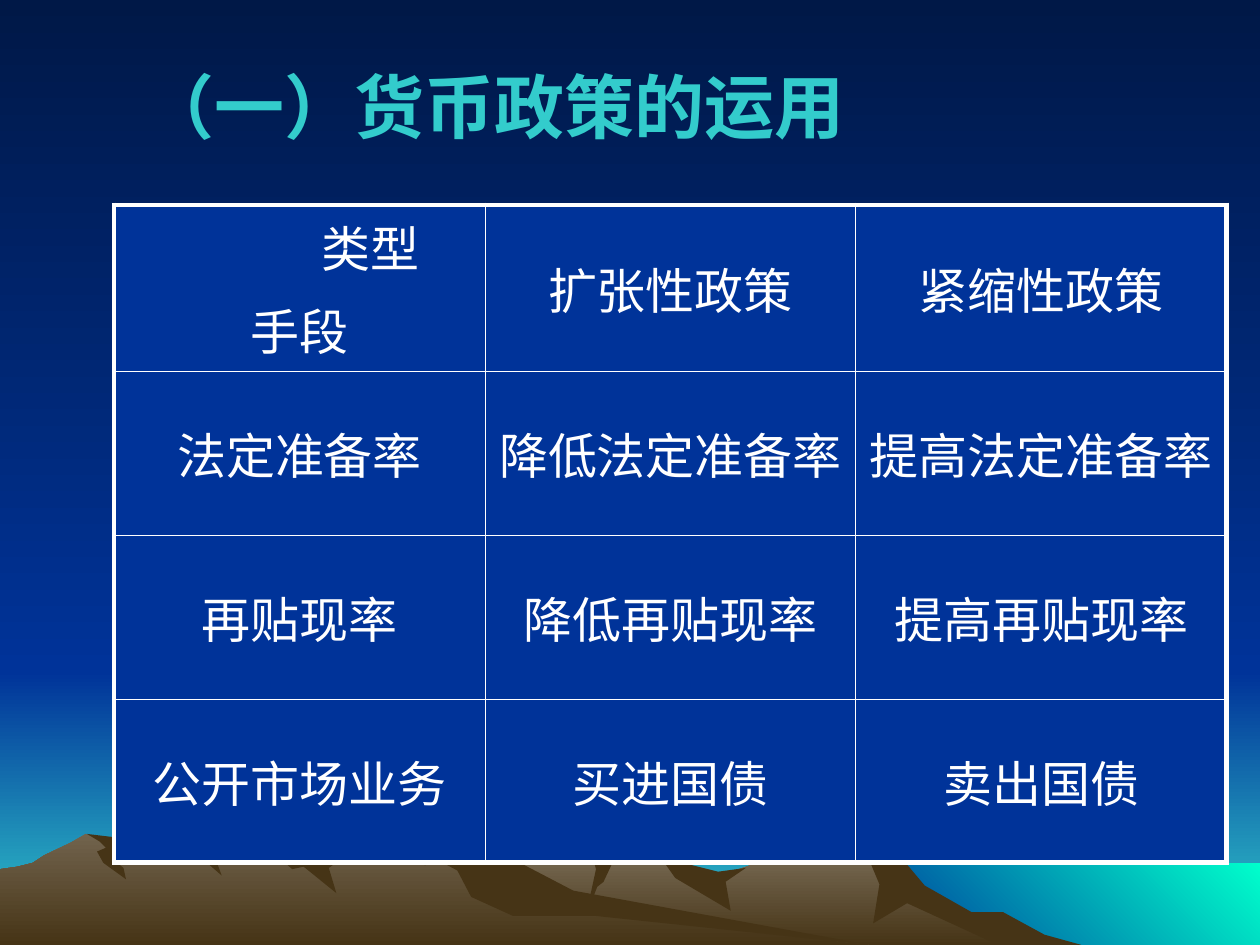
from typing import NamedTuple

from lxml import etree
from pptx import Presentation
from pptx import util as u
from pptx.dml import color
from pptx.enum import shapes, text
from pptx.oxml import ns

WHITE, NAVY, BLUE, TEAL, MINT = "FFFFFF", "001847", "003399", "33CCCC", "00FFCC"
EARTH = "463416"
LATIN_FONT, CJK_FONT = "Arial", "Noto Sans CJK SC"
DOWN, UP_RIGHT = 270, 45
THICK, THIN = u.Pt(3), u.Pt(0.45)
OUTLINE_UNIT = u.Cm(2.54) / 100


class Mountain(NamedTuple):
    """A crest from left to right and its named shadows, in outline units."""

    light: str
    crest: list
    shadows: dict


RIGHT_MOUNTAIN = Mountain(
    light="847864",
    crest=[(258, 92), (277, 81), (327, 51), (355, 40), (394, 27), (424, 14), (444, 10),
           (465, 0), (471, 0), (486, 15), (509, 11), (526, 15), (536, 32), (566, 39),
           (613, 23), (629, 13), (656, 13), (676, 9), (685, 2), (702, 13), (723, 40),
           (764, 65), (778, 69), (802, 82), (821, 92)],
    shadows={
        "east slope": [(685, 2), (707, 13), (734, 45), (771, 66), (796, 66), (829, 84),
                       (858, 92), (792, 92), (720, 59), (693, 75), (698, 44), (685, 13)],
        "peak gully": [(471, 0), (497, 13), (487, 25), (479, 42), (474, 46), (465, 69),
                       (473, 32), (468, 13)],
        "middle spur": [(529, 18), (542, 27), (570, 34), (592, 31), (576, 42), (580, 65),
                        (536, 39), (526, 25)],
        "saddle": [(630, 13), (656, 13), (657, 26), (647, 21), (643, 25), (630, 18)],
        "west notch": [(432, 13), (439, 12), (439, 21), (434, 26)],
    },
)

LEFT_MOUNTAIN = Mountain(
    light="73654F",
    crest=[(0, 32), (14, 30), (26, 27), (35, 21), (56, 11), (68, 4), (94, 13), (128, 13),
           (148, 9), (160, 13), (196, 0), (212, 0), (223, 5), (236, 23), (260, 18),
           (279, 23), (296, 18), (318, 6), (331, 5), (354, 7), (432, 54), (667, 90),
           (690, 92)],
    shadows={
        "peak gully": [(213, 1), (238, 7), (271, 24), (261, 31), (267, 51), (241, 30),
                       (232, 32), (208, 11)],
        "long slope": [(344, 7), (361, 8), (411, 26), (455, 49), (690, 92), (472, 69),
                       (407, 69), (374, 54), (363, 33), (348, 25), (337, 29), (339, 11)],
        "east notch": [(318, 6), (327, 9), (330, 16), (322, 11), (319, 14)],
        "middle gully": [(148, 9), (168, 11), (165, 20), (173, 29), (176, 37), (154, 18)],
        "small notch": [(123, 11), (133, 12), (130, 17), (132, 22), (126, 16)],
        "west gully": [(69, 4), (94, 7), (111, 11), (93, 27), (98, 31), (100, 40),
                       (82, 27), (77, 18), (84, 15), (79, 10)],
    },
)

POLICIES = [
    ["类型\n手段", "扩张性政策", "紧缩性政策"],
    ["法定准备率", "降低法定准备率", "提高法定准备率"],
    ["再贴现率", "降低再贴现率", "提高再贴现率"],
    ["公开市场业务", "买进国债", "卖出国债"],
]


def rgb(value):
    """Return the colour for a hex string."""
    return color.RGBColor.from_string(value)


def paint_gradient(fill, colors, angle=DOWN):
    """Fill with a two-colour gradient."""
    fill.gradient()
    fill.gradient_angle = angle
    for stop, value in zip(fill.gradient_stops, colors):
        stop.color.rgb = rgb(value)


def paint_solid(fill, value):
    """Fill with one colour."""
    fill.solid()
    fill.fore_color.rgb = rgb(value)


def make_plain(shape):
    """Remove the line and the shadow of a shape."""
    shape.line.fill.background()
    shape.shadow.inherit = False


def add_band(slide, left, top, width, height, colors, angle=DOWN):
    """Add a rectangular gradient band."""
    band = slide.shapes.add_shape(shapes.MSO_SHAPE.RECTANGLE, left, top, width, height)
    paint_gradient(band.fill, colors, angle)
    make_plain(band)


def add_outline(slide, left, top, points):
    """Add a plain closed outline measured from the given corner."""
    builder = slide.shapes.build_freeform(*points[0], scale=OUTLINE_UNIT)
    builder.add_line_segments(points[1:], close=True)
    shape = builder.convert_to_shape(left, top)
    make_plain(shape)
    return shape


def add_mountain(slide, left, top, height, mountain):
    """Drop the crest to the foot of the box and lay the shadows over it."""
    foot = round(height / OUTLINE_UNIT)
    first_x, last_x = mountain.crest[0][0], mountain.crest[-1][0]
    body = mountain.crest + [(last_x, foot), (first_x, foot)]
    paint_gradient(add_outline(slide, left, top, body).fill, (mountain.light, EARTH))
    for shadow in mountain.shadows.values():
        paint_solid(add_outline(slide, left, top, shadow).fill, EARTH)


def add_scenery(slide, left, top, width, height):
    """Place the sky, the horizon, the sea and the mountains in the box."""
    horizon, mountain_top = u.Cm(13.54), u.Cm(16.71)
    sea_left, sea_top = u.Cm(17.35), u.Cm(17.4)
    add_band(slide, left, top + horizon, width, height - horizon, (BLUE, TEAL))
    add_band(slide, left, top, width, horizon, (NAVY, BLUE))
    add_band(slide, left + sea_left, top + sea_top, width - sea_left, height - sea_top,
             (BLUE, MINT), UP_RIGHT)
    for mountain in (RIGHT_MOUNTAIN, LEFT_MOUNTAIN):
        add_mountain(slide, left, top + mountain_top, height - mountain_top, mountain)


def format_paragraph(paragraph, size, value, font_name, bold=False):
    """Centre a paragraph and format its runs."""
    paragraph.alignment = text.PP_ALIGN.CENTER
    for run in paragraph.runs:
        run.font.size, run.font.bold, run.font.name = u.Pt(size), bold, font_name
        run.font.color.rgb = rgb(value)
        east_asian = etree.SubElement(run._r.get_or_add_rPr(), ns.qn("a:ea"))
        east_asian.set("typeface", CJK_FONT)


def add_title(slide, left, top, width, height):
    """Place the title placeholder in the box, in front of the scenery."""
    title = slide.shapes.title
    title.element.getparent().append(title.element)
    title.left, title.top, title.width, title.height = left, top, width, height
    title.text_frame.text = "（一）货币政策的运用"
    title.text_frame.vertical_anchor = text.MSO_ANCHOR.MIDDLE
    format_paragraph(title.text_frame.paragraphs[0], 40, TEAL, CJK_FONT, bold=True)


def set_borders(cell, on_edge):
    """Draw white borders, thick where the side lies on the table's edge."""
    properties = cell._tc.get_or_add_tcPr()
    for side in ("L", "R", "T", "B"):
        width = THICK if on_edge[side] else THIN
        line = etree.SubElement(properties, ns.qn(f"a:ln{side}"), w=str(width))
        fill = etree.SubElement(line, ns.qn("a:solidFill"))
        etree.SubElement(fill, ns.qn("a:srgbClr"), val=WHITE)


def fill_cell(cell, label, on_edge):
    """Write a label into a cell and format the cell."""
    cell.text_frame.text = label
    cell.vertical_anchor = text.MSO_ANCHOR.MIDDLE
    set_borders(cell, on_edge)
    paint_solid(cell.fill, BLUE)
    for index, paragraph in enumerate(cell.text_frame.paragraphs):
        paragraph.space_before = u.Pt(7 if index else 0)
        format_paragraph(paragraph, 28, WHITE, LATIN_FONT)


def add_policy_table(slide, left, top, width, height):
    """Place the table of policy tools in the box."""
    rows, columns = len(POLICIES), len(POLICIES[0])
    table = slide.shapes.add_table(rows, columns, left, top, width, height).table
    table.first_row = table.horz_banding = False
    for row, labels in enumerate(POLICIES):
        for column, label in enumerate(labels):
            on_edge = {"L": column == 0, "R": column == columns - 1,
                       "T": row == 0, "B": row == rows - 1}
            fill_cell(table.cell(row, column), label, on_edge)
    type_label = table.cell(0, 0).text_frame.paragraphs[0]
    type_label._p.get_or_add_pPr().set("marL", str(u.Cm(2.85)))


def main():
    """Build and save the slide."""
    presentation = Presentation()
    presentation.slide_width, presentation.slide_height = u.Cm(25.4), u.Cm(19.05)
    slide = presentation.slides.add_slide(presentation.slide_layouts[5])
    paint_gradient(slide.background.fill, (NAVY, BLUE))
    add_scenery(slide, 0, 0, presentation.slide_width, presentation.slide_height)
    add_title(slide, u.Cm(2.11), u.Cm(0.53), u.Cm(15.72), u.Cm(3.18))
    add_policy_table(slide, u.Cm(2.3), u.Cm(4.13), u.Cm(22.43), u.Cm(13.21))
    presentation.save("out.pptx")


if __name__ == "__main__":
    main()
